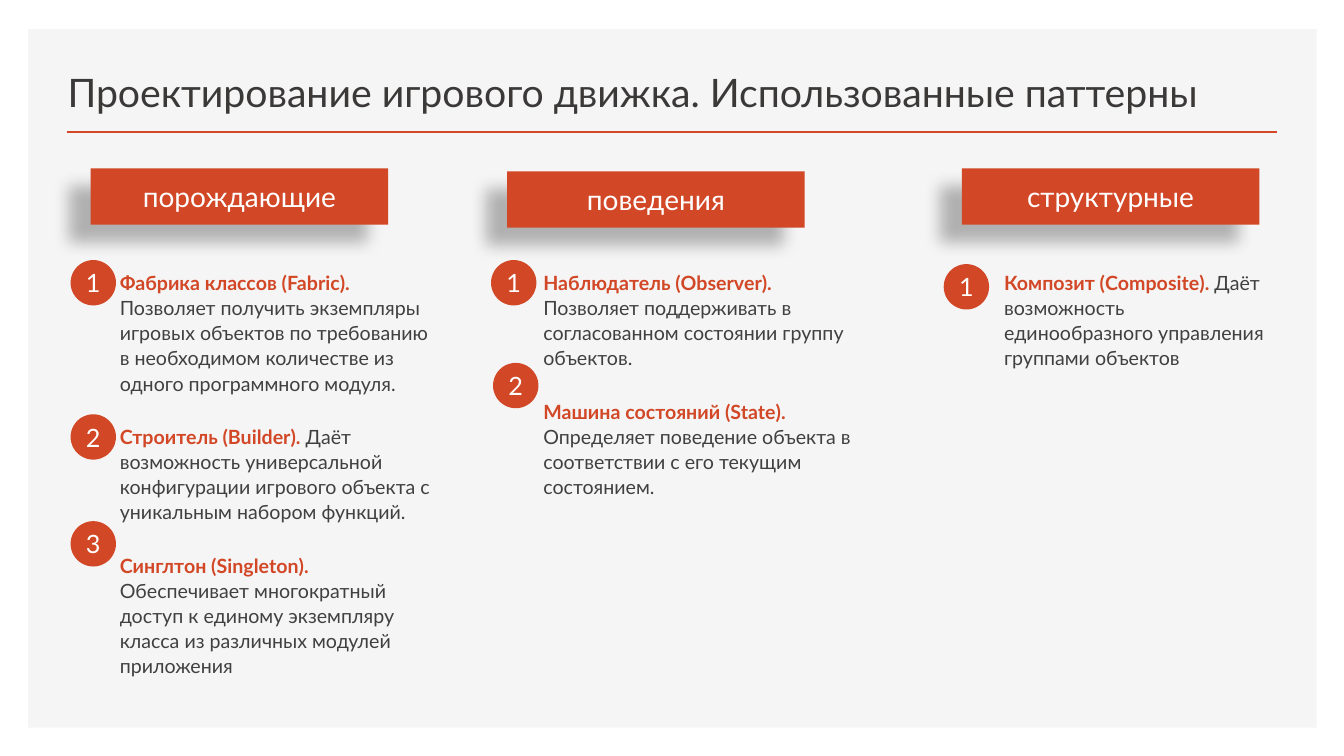
import pptx
import pptx.util
import pptx.dml.color
import pptx.enum.shapes
import pptx.enum.text
from lxml import etree

TITLE = "Проектирование игрового движка. Использованные паттерны"
COLS = [
    {"head": "порождающие", "tab": (0.9, 1.67), "box": (0.59, 3.9),
     "dots": [(0.7, 2.58), (0.7, 4.11), (0.7, 5.17)],
     "items": [
         ("Фабрика классов (Fabric). ",
          "Позволяет получить экземпляры игровых объектов по требованию "
          "в необходимом количестве из одного программного модуля."),
         ("Строитель (Builder). ",
          "Даёт возможность универсальной конфигурации игрового объекта "
          "с уникальным набором функций."),
         ("Синглтон (Singleton). ",
          "Обеспечивает многократный доступ к единому экземпляру класса "
          "из различных модулей приложения")]},
    {"head": "поведения", "tab": (5.03, 1.7), "box": (4.79, 3.75),
     "dots": [(4.87, 2.58), (4.89, 3.6)],
     "items": [
         ("Наблюдатель (Observer). ",
          "Позволяет поддерживать в согласованном состоянии группу объектов."),
         ("Машина состояний (State). ",
          "Определяет поведение объекта в соответствии с его текущим состоянием.")]},
    {"head": "структурные", "tab": (9.54, 1.67), "box": (9.36, 3.32),
     "dots": [(9.36, 2.62)],
     "items": [
         ("Композит (Composite). ",
          "Даёт возможность единообразного управления группами объектов")]},
]
RED, GREY, DARK, PALE, WHITE = "D24726", "404040", "3B3838", "F5F5F5", "FFFFFF"
NS = "http://schemas.openxmlformats.org/drawingml/2006/main"
SHADE = (f'<a:effectLst xmlns:a="{NS}"><a:outerShdw blurRad="150000" dist="250000" '
         'dir="8460000" algn="ctr" rotWithShape="0"><a:srgbClr val="000000">'
         '<a:alpha val="28000"/></a:srgbClr></a:outerShdw></a:effectLst>')

Inches, Pt = pptx.util.Inches, pptx.util.Pt
MSO = pptx.enum.shapes.MSO_SHAPE
ALIGN, ANCHOR = pptx.enum.text.PP_ALIGN, pptx.enum.text.MSO_ANCHOR
FLAT = dict.fromkeys(("margin_left", "margin_right", "margin_top", "margin_bottom"), 0)
MID = {"vertical_anchor": ANCHOR.MIDDLE, "word_wrap": True}
PARA = {"line_spacing": Pt(18), "space_after": Pt(10)}


def tint(hue):
    return pptx.dml.color.RGBColor.from_string(hue)


def put(obj, vals):
    for key, val in vals.items():
        setattr(obj, key, val)


def write(para, text, size, hue, bold=False):
    run = para.add_run()
    run.text = text
    put(run.font, {"name": "Lato", "size": Pt(size), "bold": bold})
    run.font.color.rgb = tint(hue)


def block(kind, area, hue, text="", size=18):
    shape = slide.shapes.add_shape(kind, *map(Inches, area))
    shape.shadow.inherit = False
    shape.fill.solid()
    shape.fill.fore_color.rgb = tint(hue)
    shape.line.fill.background()
    if text:
        put(shape.text_frame, MID | FLAT)
        para = shape.text_frame.paragraphs[0]
        para.alignment = ALIGN.CENTER
        write(para, text, size, WHITE)
    return shape


def shade(shape):
    props = shape.element.spPr
    props.remove(props.find(f"{{{NS}}}effectLst"))
    props.append(etree.fromstring(SHADE))


def prose(left, width, items):
    box = slide.shapes.add_textbox(*map(Inches, (left, 2.62, width, 4.23)))
    frame = box.text_frame
    frame.word_wrap = True
    for num, (name, text) in enumerate(items):
        para = frame.add_paragraph() if num else frame.paragraphs[0]
        put(para, PARA | {"space_before": Pt(10 if num else 0)})
        para._p.get_or_add_pPr().set("marL", str(Inches(0.5)))
        write(para, name, 14, RED, True)
        write(para, text, 14, GREY)


deck = pptx.Presentation()
put(deck, {"slide_width": Inches(13.33), "slide_height": Inches(7.5)})
slide = deck.slides.add_slide(deck.slide_layouts[5])

title = slide.shapes.title
put(title, {"left": Inches(0.57), "top": Inches(0.49),
            "width": Inches(12.1), "height": Inches(0.7)})
put(title.text_frame, {"vertical_anchor": ANCHOR.BOTTOM, "word_wrap": True,
                       "auto_size": pptx.enum.text.MSO_AUTO_SIZE.NONE})
top = title.text_frame.paragraphs[0]
top.alignment = ALIGN.LEFT
write(top, TITLE, 28, DARK)

panel = block(MSO.RECTANGLE, (0.28, 0.29, 12.78, 6.93), PALE)
title.element.addprevious(panel.element)

rule = slide.shapes.add_connector(pptx.enum.shapes.MSO_CONNECTOR.STRAIGHT,
                                  *map(Inches, (0.66, 1.31, 12.67, 1.31)))
rule.line.color.rgb = tint(RED)
rule.line.width = Pt(2)
etree.SubElement(rule.element.spPr, f"{{{NS}}}effectLst")

for col in COLS:
    prose(*col["box"], col["items"])
    shade(block(MSO.RECTANGLE, (*col["tab"], 2.95, 0.56), RED, col["head"], 20))
    for num, spot in enumerate(col["dots"], 1):
        block(MSO.OVAL, (*spot, 0.45, 0.45), RED, str(num))

deck.save("out.pptx")
